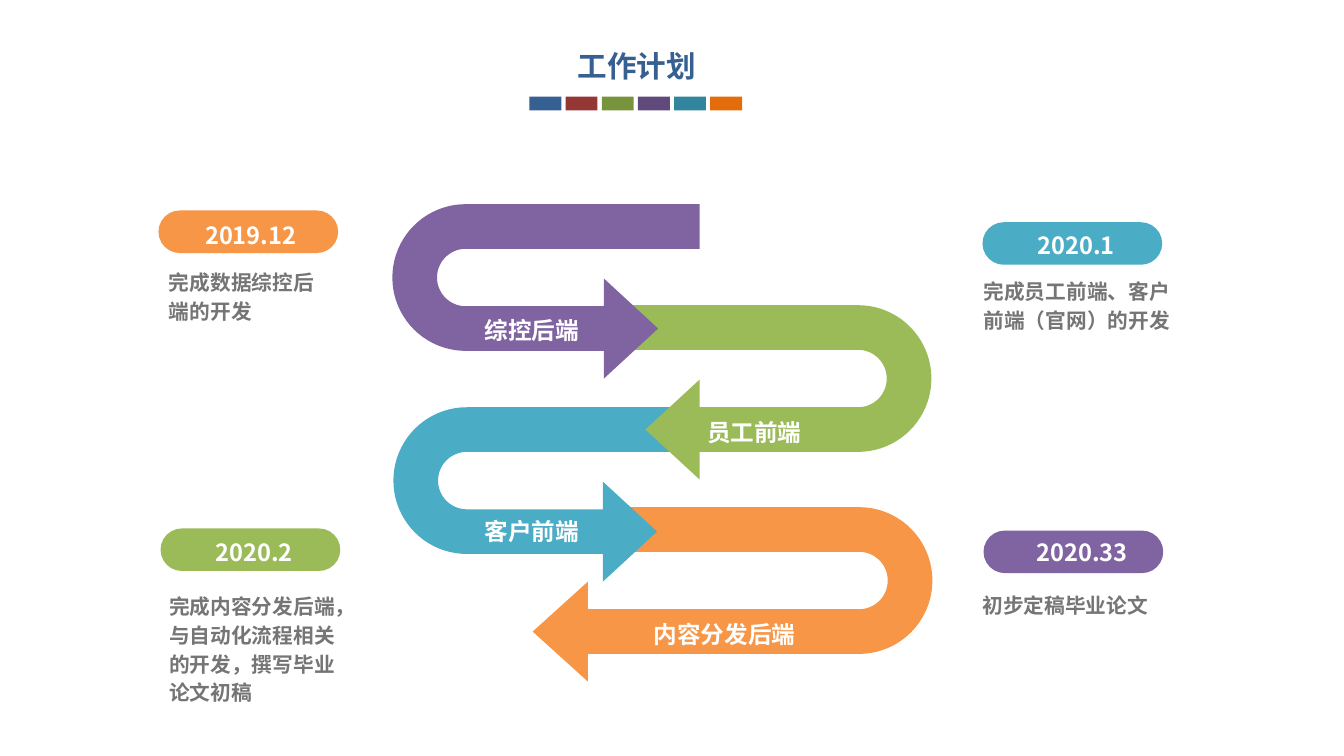
"""Build the work plan slide: a winding four-stage track with dated milestones."""
from dataclasses import dataclass
from math import cos, pi, sin

from pptx import Presentation
from pptx.dml.color import RGBColor
from pptx.enum.shapes import MSO_SHAPE
from pptx.enum.text import MSO_ANCHOR, MSO_AUTO_SIZE, PP_ALIGN
from pptx.util import Inches, Pt

BLOCK, PILL = MSO_SHAPE.RECTANGLE, MSO_SHAPE.ROUNDED_RECTANGLE
LEFT, CENTER = PP_ALIGN.LEFT, PP_ALIGN.CENTER
TOP = MSO_ANCHOR.TOP
GROW = MSO_AUTO_SIZE.SHAPE_TO_FIT_TEXT

CELL = Inches(0.1)
COLUMNS, ROWS = 126.4, 71.1
OUTER_RADIUS, INNER_RADIUS = 6.9, 2.7
BAND = OUTER_RADIUS - INNER_RADIUS
HEAD_HALF = 4.7
ARC_STEPS = 40

Point = tuple[float, float]


@dataclass(frozen=True)
class Theme:
    font: str = "Noto Sans CJK SC"
    title_size: int = 20
    label_size: int = 16
    note_size: int = 14
    leading: float = 1.39
    title: str = "376092"
    label: str = "FFFFFF"
    note: str = "757575"
    purple: str = "8064A2"
    green: str = "9BBB59"
    teal: str = "4BACC6"
    orange: str = "F79646"
    swatches: tuple[str, ...] = ("376092", "953735", "77933C", "604A7B", "31859C", "E46C0A")


THEME = Theme()


@dataclass(frozen=True)
class Stage:
    name: str
    name_column: float
    name_row: float
    name_width: float
    color: str
    side: int
    bend_column: float
    top_row: float
    upper_end: float
    lower_end: float
    head_base: float
    head_tip: float
    joined: bool = False

    @property
    def head(self) -> list[Point]:
        middle = self.top_row + 2 * OUTER_RADIUS - BAND / 2
        return [(self.head_base, middle + HEAD_HALF), (self.head_tip, middle),
                (self.head_base, middle - HEAD_HALF)]

    def arc(self, radius: float) -> list[Point]:
        angles = [pi * step / ARC_STEPS - pi / 2 for step in range(ARC_STEPS + 1)]
        center_row = self.top_row + OUTER_RADIUS
        return [(self.bend_column + self.side * radius * cos(angle),
                 center_row + radius * sin(angle)) for angle in angles]

    @property
    def outline(self) -> list[Point]:
        bottom = self.top_row + 2 * OUTER_RADIUS
        return [(self.upper_end, self.top_row), *self.arc(OUTER_RADIUS),
                (self.lower_end, bottom), *(self.head if self.joined else []),
                (self.lower_end, bottom - BAND), *reversed(self.arc(INNER_RADIUS)),
                (self.upper_end, self.top_row + BAND)]


@dataclass(frozen=True)
class Milestone:
    date: str
    date_column: float
    date_row: float
    date_width: float
    color: str
    pill_column: float
    pill_row: float
    note: str
    note_column: float
    note_row: float
    note_width: float
    note_height: float


STAGES = (
    Stage("客户前端", 45.3, 48.1, 11, THEME.teal, -1, 43.9, 38.3, 65.9, 58.5, 56.7, 61.8),
    Stage("员工前端", 66.2, 38.8, 15.6, THEME.green, 1, 80.7, 28.7, 56.8, 64.3, 65.8, 60.7),
    Stage("内容分发后端", 61.2, 57.8, 15.6, THEME.orange, 1, 80.8, 47.7, 56.9, 55.3, 55.3, 50.1,
          joined=True),
    Stage("综控后端", 45.3, 29.2, 12.1, THEME.purple, -1, 43.8, 19.2, 65.8, 58.3, 56.8, 61.9),
)

MILESTONES = (
    Milestone("2019.12", 19, 20.3, 10.3, THEME.orange, 14.9, 19.8,
              "完成数据综控后端的开发", 15.6, 24.9, 15.7, 5.7),
    Milestone("2020.2", 20, 50.1, 15, THEME.green, 15.1, 49.7,
              "完成内容分发后端，与自动化流程相关的开发，撰写毕业论文初稿", 15.6, 55.4, 17.5, 11),
    Milestone("2020.1", 97.3, 21.2, 9.5, THEME.teal, 92.4, 20.9,
              "完成员工前端、客户前端（官网）的开发", 92.2, 25.8, 18.5, 5.6),
    Milestone("2020.33", 97.2, 50.1, 9.6, THEME.purple, 92.5, 49.9,
              "初步定稿毕业论文", 92.1, 55.3, 18.7, 2.8),
)


def cells(count: float) -> int:
    return round(count * CELL)


def paint(shape, color: str) -> None:
    shape.shadow.inherit = False
    shape.fill.solid()
    shape.fill.fore_color.rgb = RGBColor.from_string(color)
    shape.line.fill.background()


def draw_preset(slide, kind, column: float, row: float, width: float, height: float, color: str):
    shape = slide.shapes.add_shape(kind, cells(column), cells(row), cells(width), cells(height))
    paint(shape, color)
    return shape


def draw_outline(slide, points: list[Point], color: str) -> None:
    start, *rest = [(cells(column), cells(row)) for column, row in points]
    builder = slide.shapes.build_freeform(*start)
    builder.add_line_segments(rest, close=True)
    paint(builder.convert_to_shape(), color)


def write(slide, text: str, *, column: float, row: float, width: float, height: float = 3.3,
          size: int = THEME.label_size, color: str = THEME.label, align=LEFT) -> None:
    box = slide.shapes.add_textbox(cells(column), cells(row), cells(width), cells(height))
    frame = box.text_frame
    frame.word_wrap = True
    frame.auto_size = GROW
    frame.vertical_anchor = TOP
    frame.margin_left = frame.margin_right = cells(0.3)
    frame.margin_top = frame.margin_bottom = cells(0.1)
    paragraph = frame.paragraphs[0]
    paragraph.alignment = align
    paragraph.line_spacing = Pt(size * THEME.leading)
    run = paragraph.add_run()
    run.text = text
    run.font.name = THEME.font
    run.font.size = Pt(size)
    run.font.bold = True
    run.font.color.rgb = RGBColor.from_string(color)


def draw_heading(slide) -> None:
    for index, color in enumerate(THEME.swatches):
        draw_preset(slide, BLOCK, 49.8 + 3.4 * index, 9.1, 3, 1.3, color)
    write(slide, "工作计划", column=46, row=3.9, width=27.8, height=4.2,
          size=THEME.title_size, color=THEME.title, align=CENTER)


def draw_track(slide) -> None:
    for stage in STAGES:
        draw_outline(slide, stage.outline, stage.color)
    for stage in STAGES:
        if not stage.joined:
            draw_outline(slide, stage.head, stage.color)
    for stage in STAGES:
        write(slide, stage.name, column=stage.name_column, row=stage.name_row,
              width=stage.name_width)


def draw_milestone(slide, item: Milestone) -> None:
    pill = draw_preset(slide, PILL, item.pill_column, item.pill_row, 16.9, 4, item.color)
    pill.adjustments[0] = 0.5
    write(slide, item.date, column=item.date_column, row=item.date_row, width=item.date_width)
    write(slide, item.note, column=item.note_column, row=item.note_row, width=item.note_width,
          height=item.note_height, size=THEME.note_size, color=THEME.note)


def main() -> None:
    deck = Presentation()
    deck.slide_width, deck.slide_height = cells(COLUMNS), cells(ROWS)
    slide = deck.slides.add_slide(deck.slide_layouts[6])
    draw_heading(slide)
    draw_track(slide)
    for item in MILESTONES:
        draw_milestone(slide, item)
    deck.save("out.pptx")


if __name__ == "__main__":
    main()
